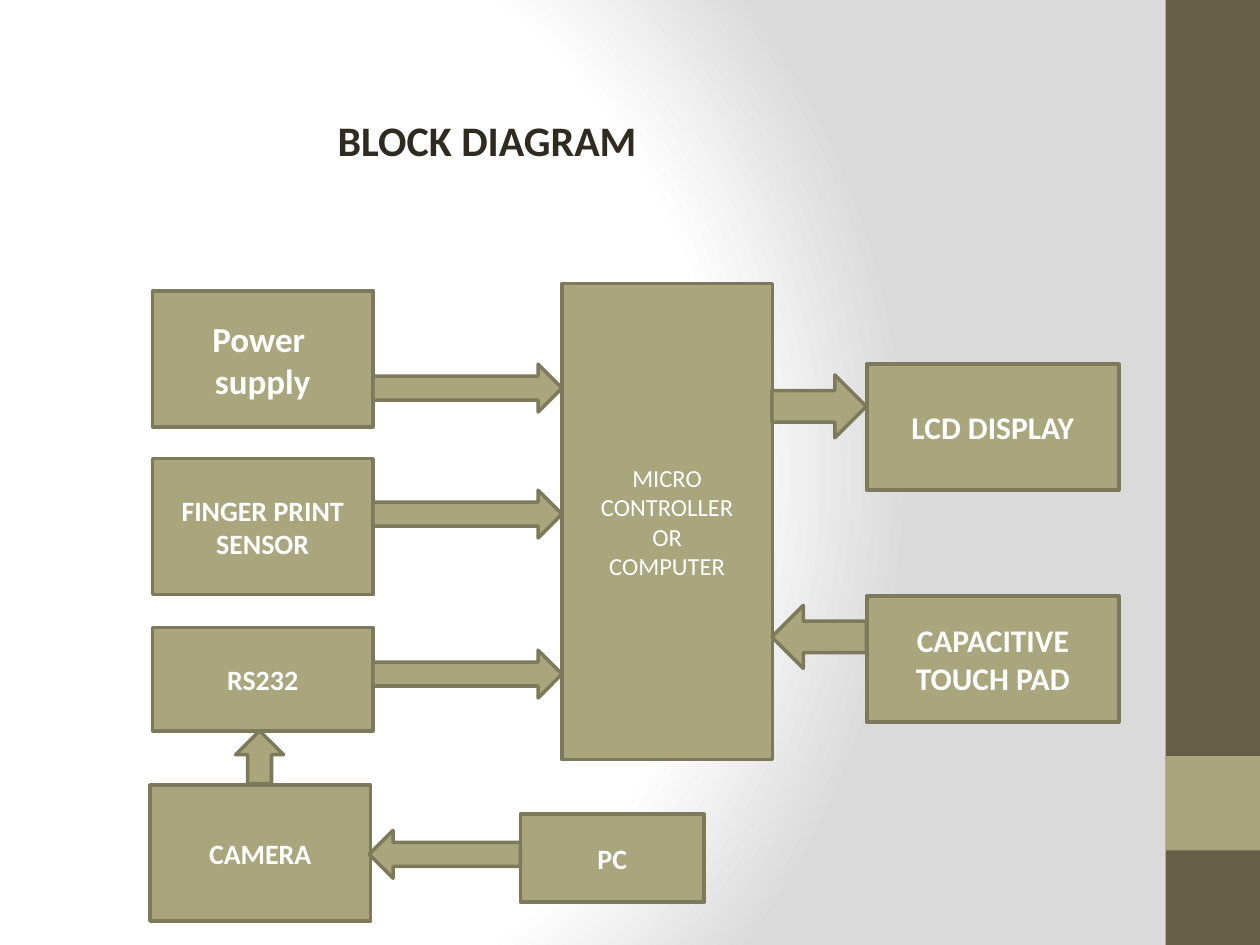
import pptx
import pptx.dml.color
import pptx.enum.shapes
import pptx.enum.text
import pptx.oxml
import pptx.util

Inches = pptx.util.Inches
Pt = pptx.util.Pt
RGBColor = pptx.dml.color.RGBColor
MSO_SHAPE = pptx.enum.shapes.MSO_SHAPE
PP_ALIGN = pptx.enum.text.PP_ALIGN
MSO_ANCHOR = pptx.enum.text.MSO_ANCHOR

FONT = "Calibri"
OLIVE = RGBColor(0xA9, 0xA5, 0x7C)
OLIVE_EDGE = RGBColor(0x7D, 0x7A, 0x5C)
BROWN = RGBColor(0x67, 0x5E, 0x47)
INK = RGBColor(0x2F, 0x2B, 0x20)
WHITE = RGBColor(0xFF, 0xFF, 0xFF)
GREY = RGBColor(0xDA, 0xDA, 0xDA)

LEFT_X, LEFT_W, LEFT_H = 1.21, 1.75, 1.08
RIGHT_X, RIGHT_W, RIGHT_H = 6.88, 2, 1
ARROW_W = 0.38

BLOCKS = [
    (["Power ", "supply"], LEFT_X, 2.31, LEFT_W, LEFT_H, 20, True),
    (["FINGER PRINT SENSOR"], LEFT_X, 3.64, LEFT_W, LEFT_H, 16, True),
    (["RS232"], LEFT_X, 4.98, LEFT_W, 0.82, 16, True),
    (["CAMERA"], 1.19, 6.23, LEFT_W, LEFT_H, 16, True),
    (["PC"], 4.13, 6.46, 1.46, 0.7, 16, True),
    (["MICRO", "CONTROLLER", "OR", "COMPUTER"], 4.46, 2.25, 1.67, 3.78, 14, False),
    (["LCD DISPLAY"], RIGHT_X, 2.89, RIGHT_W, RIGHT_H, 18, True),
    (["CAPACITIVE TOUCH PAD"], RIGHT_X, 4.73, RIGHT_W, RIGHT_H, 18, True),
]

INPUT_ARROW_TOPS = [2.33, 3.33, 4.6]
ARROWS = [(MSO_SHAPE.UP_ARROW, 3.52, top, ARROW_W, 1.5, 90) for top in INPUT_ARROW_TOPS] + [
    (MSO_SHAPE.UP_ARROW, 3.34, 6.18, ARROW_W, 1.2, 270),
    (MSO_SHAPE.UP_ARROW, 1.87, 5.8, ARROW_W, 0.42, 0),
    (MSO_SHAPE.DOWN_ARROW, 6.25, 2.85, 0.5, 0.75, 270),
    (MSO_SHAPE.DOWN_ARROW, 6.25, 4.68, 0.5, 0.75, 90),
]


def set_background(s):
    """Fill the slide with a circular gradient from white to grey."""
    s.background.fill.solid()
    bg_pr = s._element.cSld.bg.bgPr
    stops = "".join(
        f'<a:gs pos="{pos * 1000}"><a:srgbClr val="{color}"/></a:gs>'
        for pos, color in [(0, WHITE), (75, WHITE), (100, GREY)]
    )
    bg_pr[0] = pptx.oxml.parse_xml(
        '<a:gradFill xmlns:a="http://schemas.openxmlformats.org/drawingml/2006/main"'
        f' rotWithShape="1"><a:gsLst>{stops}</a:gsLst><a:path path="circle">'
        '<a:fillToRect l="20000" t="50000" r="100000" b="50000"/></a:path></a:gradFill>'
    )


def add_shape(s, kind, left, top, width, height, fill, edge=None):
    """Add a flat preset shape with an optional outline."""
    sp = s.shapes.add_shape(kind, Inches(left), Inches(top), Inches(width), Inches(height))
    sp.shadow.inherit = False
    sp.fill.solid()
    sp.fill.fore_color.rgb = fill
    if edge is None:
        sp.line.fill.background()
    else:
        sp.line.color.rgb = edge
        sp.line.width = Pt(2)
    return sp


def style_paragraph(p, size, color, bold, align):
    """Set the font and alignment of a paragraph."""
    p.alignment = align
    p.font.name = FONT
    p.font.size = Pt(size)
    p.font.bold = bold
    p.font.color.rgb = color


def add_block(s, lines, left, top, width, height, size, bold):
    """Add a labelled box of the diagram."""
    sp = add_shape(s, MSO_SHAPE.RECTANGLE, left, top, width, height, OLIVE, OLIVE_EDGE)
    tf = sp.text_frame
    tf.word_wrap = True
    tf.vertical_anchor = MSO_ANCHOR.MIDDLE
    tf.text = "\n".join(lines)
    for p in tf.paragraphs:
        style_paragraph(p, size, WHITE, bold, PP_ALIGN.CENTER)


def add_arrow(s, kind, left, top, width, height, rotation):
    """Add a block arrow turned to its direction."""
    sp = add_shape(s, kind, left, top, width, height, OLIVE, OLIVE_EDGE)
    sp.rotation = rotation


def set_title(s, text):
    """Place and format the slide title."""
    sp = s.shapes.title
    sp.left, sp.top, sp.width, sp.height = Inches(2.58), Inches(0.86), Inches(5), Inches(0.5)
    tf = sp.text_frame
    tf.text = text
    tf.word_wrap = True
    tf.auto_size = pptx.enum.text.MSO_AUTO_SIZE.SHAPE_TO_FIT_TEXT
    tf.vertical_anchor = MSO_ANCHOR.TOP
    style_paragraph(tf.paragraphs[0], 24, INK, True, PP_ALIGN.LEFT)


def main():
    """Build the block diagram slide."""
    prs = pptx.Presentation()
    prs.slide_width, prs.slide_height = Inches(10), Inches(7.5)
    s = prs.slides.add_slide(prs.slide_layouts[5])
    set_background(s)
    add_shape(s, MSO_SHAPE.RECTANGLE, 9.25, 0, 0.75, 7.5, BROWN)
    add_shape(s, MSO_SHAPE.RECTANGLE, 9.25, 6, 0.75, 0.75, OLIVE)
    set_title(s, "BLOCK DIAGRAM")
    for block in BLOCKS:
        add_block(s, *block)
    for arrow in ARROWS:
        add_arrow(s, *arrow)
    prs.save("out.pptx")


if __name__ == "__main__":
    main()
